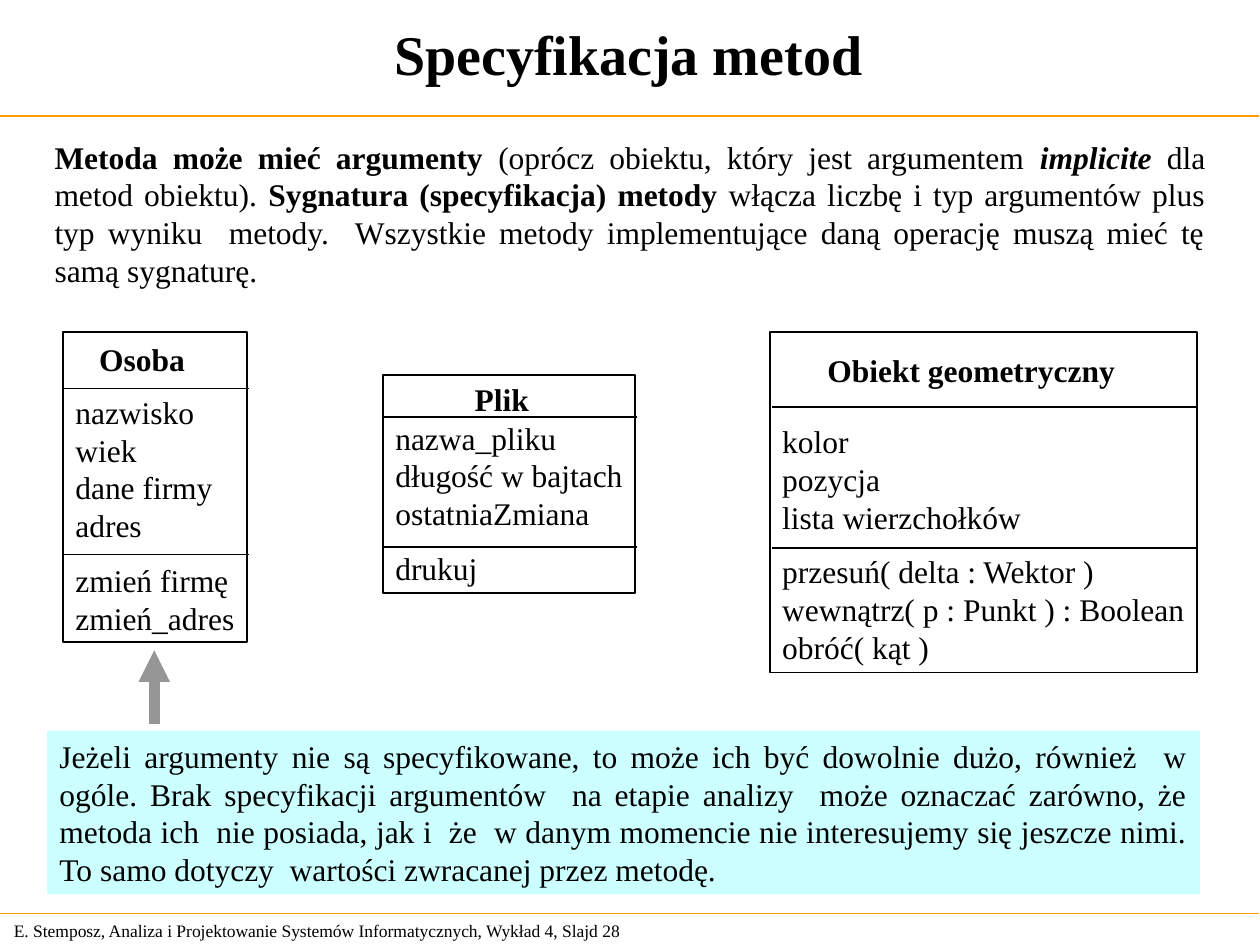
from dataclasses import dataclass

from lxml import etree
from pptx import Presentation
from pptx.dml.color import RGBColor
from pptx.enum import shapes, text
from pptx.oxml.ns import qn
from pptx.util import Cm, Pt


@dataclass(frozen=True)
class Theme:
    font: str = "Times New Roman"
    ink: str = "000000"
    rule: str = "FF9900"
    note: str = "CCFFFF"
    arrow: str = "969696"
    title: int = 32
    body: int = 18
    footer: int = 10
    section_gap: float = 9.6


THEME = Theme()
LEFT, CENTER, JUSTIFY = text.PP_ALIGN.LEFT, text.PP_ALIGN.CENTER, text.PP_ALIGN.JUSTIFY
TOP, MIDDLE = text.MSO_ANCHOR.TOP, text.MSO_ANCHOR.MIDDLE

SLIDE_TITLE = "Specyfikacja metod"
FOOTER = "E. Stemposz, Analiza i Projektowanie Systemów Informatycznych, Wykład 4, Slajd 28"
INTRO = [
    ("Metoda może mieć argumenty", "b"),
    (" (oprócz obiektu, który jest argumentem ", ""),
    ("implicite ", "bi"),
    ("dla metod obiektu). ", ""),
    ("Sygnatura (specyfikacja) metody", "b"),
    (" włącza liczbę i typ argumentów plus typ wyniku  metody.  Wszystkie metody "
     "implementujące daną operację muszą mieć tę samą sygnaturę.", ""),
]
NOTE = ("Jeżeli argumenty nie są specyfikowane, to może ich być dowolnie dużo, również  w ogóle. "
        "Brak specyfikacji argumentów  na etapie analizy  może oznaczać zarówno, że metoda ich  "
        "nie posiada, jak i  że  w danym momencie nie interesujemy się jeszcze nimi. "
        "To samo dotyczy  wartości zwracanej przez metodę.")

# Offsets are relative to the class box: name (x, y, width), dividers (x, width, y positions).
CLASSES = [
    dict(box=(1.27, 6.7, 3.71, 6.25), name="Osoba", name_at=(0.48, 0.04, 2.8),
         text_top=1.22, dividers=(-0.03, 3.78, (1.13, 4.48)),
         attributes=["nazwisko", "wiek", "dane firmy", "adres"],
         operations=["zmień firmę", "zmień_adres"]),
    dict(box=(7.72, 7.56, 5.08, 4.39), name="Plik", name_at=(1.6, -0.02, 2.2),
         text_top=0.88, dividers=(0, 5.13, (0.85, 3.46)),
         attributes=["nazwa_pliku", "długość w bajtach", "ostatniaZmiana"],
         operations=["drukuj"]),
    dict(box=(15.52, 6.7, 8.61, 6.86), name="Obiekt geometryczny", name_at=(0.91, 0.26, 7),
         text_top=1.81, dividers=(0.05, 8.59, (1.51, 4.35)),
         attributes=["kolor", "pozycja", "lista wierzchołków"],
         operations=["przesuń( delta : Wektor )", "wewnątrz( p : Punkt ) : Boolean",
                     "obróć( kąt )"]),
]


def rgb(colour):
    return RGBColor.from_string(colour)


def draw_line(slide, start, end, colour, width):
    line = slide.shapes.add_connector(shapes.MSO_CONNECTOR.STRAIGHT,
                                      *(Cm(v) for v in (*start, *end)))
    line.line.color.rgb = rgb(colour)
    line.line.width = Pt(width)
    etree.SubElement(line.element.spPr, qn("a:effectLst"))
    return line


def draw_rectangle(slide, box, fill=None, outline=None):
    rectangle = slide.shapes.add_shape(shapes.MSO_SHAPE.RECTANGLE, *(Cm(v) for v in box))
    rectangle.shadow.inherit = False
    if fill:
        rectangle.fill.solid()
        rectangle.fill.fore_color.rgb = rgb(fill)
    else:
        rectangle.fill.background()
    if outline:
        rectangle.line.color.rgb = rgb(outline)
        rectangle.line.width = Pt(1)
    else:
        rectangle.line.fill.background()
    return rectangle


def write(shape, paragraphs, size=THEME.body, align=LEFT, anchor=TOP):
    """Fill a shape with paragraphs, each a list of (words, style) with style from 'b' and 'i'."""
    frame = shape.text_frame
    frame.word_wrap = True
    frame.vertical_anchor = anchor
    for index, runs in enumerate(paragraphs):
        paragraph = frame.add_paragraph() if index else frame.paragraphs[0]
        paragraph.alignment = align
        for words, style in runs:
            run = paragraph.add_run()
            run.text = words
            run.font.name = THEME.font
            run.font.size = Pt(size)
            run.font.color.rgb = rgb(THEME.ink)
            run.font.bold = "b" in style
            run.font.italic = "i" in style
    return frame


def add_text(slide, box, runs, **options):
    return write(slide.shapes.add_textbox(*(Cm(v) for v in box)), [runs], **options)


def header(slide, box):
    left, top, width, height = box
    add_text(slide, (left, top, width, 2.13), [(SLIDE_TITLE, "b")],
             size=THEME.title, align=CENTER, anchor=MIDDLE)
    draw_line(slide, (left, top + height), (left + width, top + height), THEME.rule, 1)


def footer(slide, box):
    left, top, width, height = box
    draw_line(slide, (left, top), (left + width, top), THEME.rule, 0.75)
    add_text(slide, (left + 0.06, top, 14, height), [(FOOTER, "")],
             size=THEME.footer, anchor=MIDDLE)


def class_box(slide, box, name, name_at, text_top, dividers, attributes, operations):
    """Draw a class with its name, attributes and operations."""
    left, top, _, _ = box
    outline = draw_rectangle(slide, box, outline=THEME.ink)
    frame = write(outline, [[(member, "")] for member in attributes + operations])
    frame.margin_top = Cm(text_top)
    frame.margin_right = 0
    frame.paragraphs[len(attributes)].space_before = Pt(THEME.section_gap)

    divider_x, divider_width, divider_ys = dividers
    for y in divider_ys:
        start = left + divider_x
        draw_line(slide, (start, top + y), (start + divider_width, top + y), THEME.ink, 1)

    name_x, name_y, name_width = name_at
    add_text(slide, (left + name_x, top + name_y, name_width, 1.02), [(name, "b")])


def note(slide, box):
    """Draw the shaded remark and the arrow rising from it to the class above."""
    left, top, _, _ = box
    write(draw_rectangle(slide, box, fill=THEME.note), [[(NOTE, "")]], align=JUSTIFY)
    arrow_x = left + 2.16
    arrow = draw_line(slide, (arrow_x, top - 0.13), (arrow_x, top - 1.62), THEME.arrow, 6)
    etree.SubElement(arrow.line._get_or_add_ln(), qn("a:tailEnd"), type="triangle")


def main():
    deck = Presentation()
    deck.slide_width, deck.slide_height = Cm(25.4), Cm(19.05)
    slide = deck.slides.add_slide(deck.slide_layouts[6])
    header(slide, (-0.03, 0, 25.4, 2.34))
    add_text(slide, (0.85, 2.65, 23.7, 3.3), INTRO, align=JUSTIFY, anchor=MIDDLE)
    for entry in CLASSES:
        class_box(slide, **entry)
    note(slide, (0.95, 14.73, 23.24, 3.3))
    footer(slide, (-0.03, 18.42, 25.4, 0.69))
    deck.save("out.pptx")


if __name__ == "__main__":
    main()
